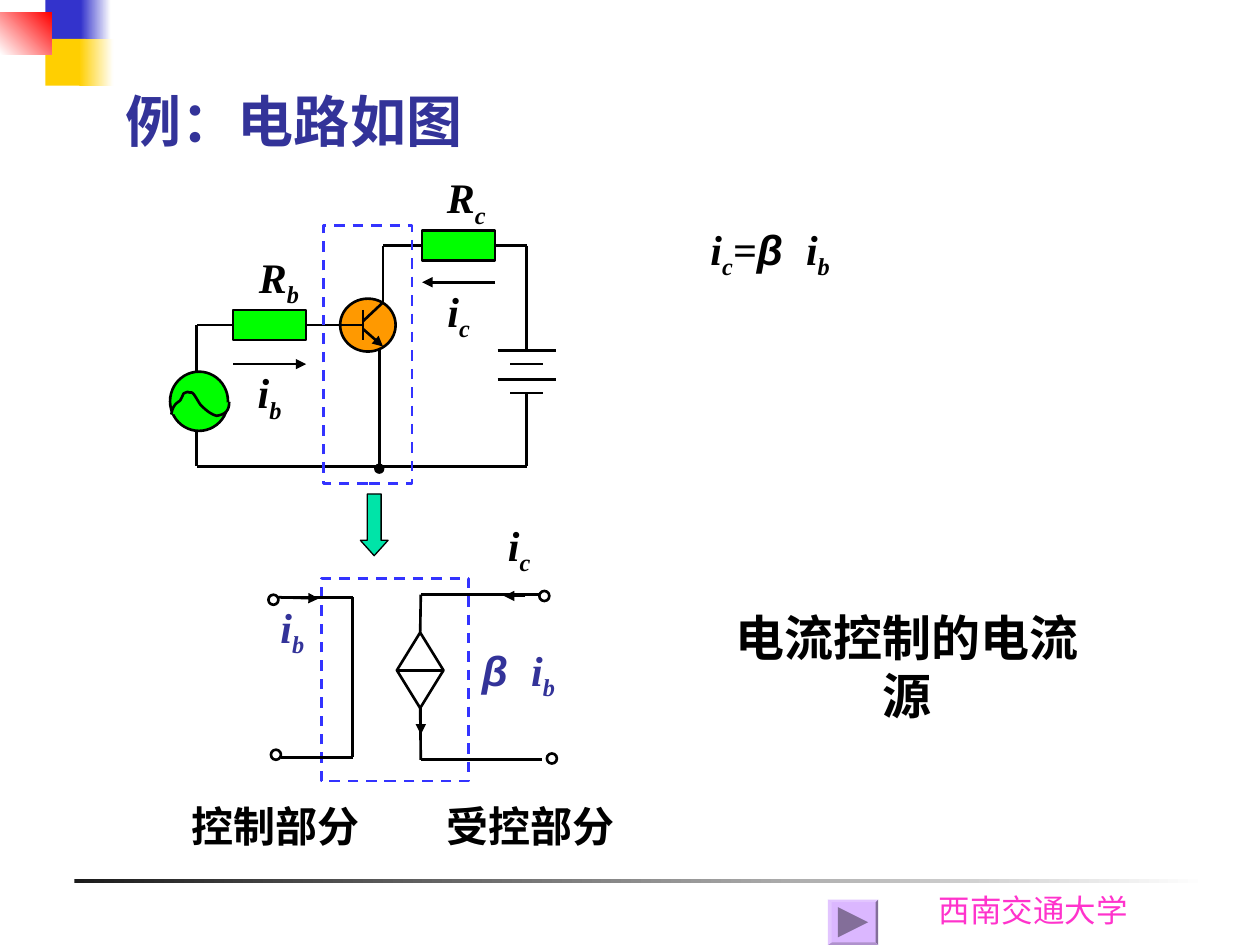
import itertools
from dataclasses import dataclass
from typing import Any

import pptx
import pptx.dml.color
import pptx.enum.dml
import pptx.enum.shapes
import pptx.enum.text
import pptx.oxml
import pptx.oxml.ns
import pptx.util

Inches = pptx.util.Inches
Pt = pptx.util.Pt
RGB = pptx.dml.color.RGBColor
SHAPE = pptx.enum.shapes.MSO_SHAPE
ALIGN = pptx.enum.text.PP_ALIGN

BLACK = RGB(0x00, 0x00, 0x00)
WHITE = RGB(0xFF, 0xFF, 0xFF)
CHARCOAL = RGB(0x1C, 0x1C, 0x1C)
INDIGO = RGB(0x33, 0x33, 0x99)
BLUE = RGB(0x33, 0x33, 0xCC)
DASH_BLUE = RGB(0x33, 0x33, 0xFF)
YELLOW = RGB(0xFF, 0xCF, 0x01)
RED = RGB(0xFF, 0x00, 0x00)
PINK = RGB(0xFF, 0x33, 0xCC)
GREEN = RGB(0x00, 0xFF, 0x00)
ORANGE = RGB(0xFF, 0x99, 0x00)
TEAL = RGB(0x00, 0xE4, 0xA8)
LILAC = RGB(0xDB, 0xB7, 0xFF)
LILAC_LIGHT = RGB(0xE2, 0xC5, 0xFF)
LILAC_MID = RGB(0xAF, 0x92, 0xCC)
LILAC_DARK = RGB(0x83, 0x6E, 0x99)
SERIF = "Times New Roman"


def style(shape, fill=None, line=None, width=1.5):
    """Set the fill and outline of a shape and drop its shadow."""
    shape.shadow.inherit = False
    if fill is None:
        shape.fill.background()
    else:
        shape.fill.solid()
        shape.fill.fore_color.rgb = fill
    if line is None:
        shape.line.fill.background()
    else:
        shape.line.color.rgb = line
        shape.line.width = Pt(width)


def write(frame, runs, size=24, color=BLACK, bold=True, italic=False, font=SERIF, align=ALIGN.CENTER):
    """Write one paragraph of (text, attributes) runs into a text frame."""
    frame.word_wrap = True
    frame.vertical_anchor = pptx.enum.text.MSO_ANCHOR.MIDDLE
    para = frame.paragraphs[0]
    para.alignment = align
    para.space_before = Pt(0)
    para.font.size = Pt(size)
    para.font.color.rgb = color
    para.font.bold = bold
    para.font.italic = italic
    para.font.name = font
    for text, attributes in runs:
        span = para.add_run()
        span.text = text
        for name, value in attributes.items():
            span._r.get_or_add_rPr().set(name, value)
    return para


@dataclass
class Region:
    """A box on the page whose parts are placed from its top left corner."""
    page: Any
    left: float
    top: float

    def point(self, x, y):
        """Turn an offset in the region into page lengths."""
        return Inches(self.left + x), Inches(self.top + y)

    def shape(self, kind, x, y, width, height, *look):
        """Add a preset shape."""
        shape = self.page.shapes.add_shape(kind, *self.point(x, y), Inches(width), Inches(height))
        style(shape, *look)
        return shape

    def fade(self, x, y, width, height, start, end, angle=0):
        """Add a rectangle that fades between two colours."""
        shape = self.shape(SHAPE.RECTANGLE, x, y, width, height)
        shape.fill.gradient()
        shape.fill.gradient_angle = angle
        for stop, color in zip(shape.fill.gradient_stops, (start, end)):
            stop.color.rgb = color

    def wire(self, *points, end=None, width=1.5):
        """Join the points with straight connectors and return the first."""
        connectors = []
        for start, stop in itertools.pairwise(points):
            connector = self.page.shapes.add_connector(
                pptx.enum.shapes.MSO_CONNECTOR.STRAIGHT, *self.point(*start), *self.point(*stop))
            connector.line.color.rgb = BLACK
            connector.line.width = Pt(width)
            pptx.oxml.ns.qn("a:ln")
            if end:
                tail = pptx.oxml.parse_xml(f'<a:tailEnd {pptx.oxml.ns.nsdecls("a")} type="{end}"/>')
                connector.line._get_or_add_ln().append(tail)
            effects = pptx.oxml.parse_xml(f'<a:effectLst {pptx.oxml.ns.nsdecls("a")}/>')
            connector._element.spPr.append(effects)
            connectors.append(connector)
        return connectors[0]

    def outline(self, points, *look, close=True):
        """Add a freeform through the points."""
        start, *rest = [self.point(*point) for point in points]
        builder = self.page.shapes.build_freeform(*start, scale=1.0)
        builder.add_line_segments(rest, close=close)
        style(builder.convert_to_shape(), *look)

    def text(self, x, y, width, height, runs, **look):
        """Add a text box and return its paragraph."""
        box = self.page.shapes.add_textbox(*self.point(x, y), Inches(width), Inches(height))
        return write(box.text_frame, runs, **look)

    def dashed(self, *box):
        """Add a dashed frame."""
        frame = self.shape(SHAPE.RECTANGLE, *box, None, DASH_BLUE)
        frame.line.dash_style = pptx.enum.dml.MSO_LINE.DASH


def symbol(letter, index):
    """Give the runs of a letter with a subscript."""
    return [(letter, {}), (index, {"baseline": "-25000"})]


def bezier(start, *curves, steps=8):
    """Sample a chain of cubic curves."""
    points = [start]
    for first, second, end in curves:
        origin = points[-1]
        for step in range(1, steps + 1):
            t = step / steps
            weights = ((1 - t) ** 3, 3 * t * (1 - t) ** 2, 3 * t * t * (1 - t), t ** 3)
            points.append(tuple(sum(w * c for w, c in zip(weights, axis))
                                for axis in zip(origin, first, second, end)))
    return points


def add_corner(region):
    """Add the coloured blocks in the page corner."""
    for y, color, x, width in ((0, BLUE, 0.64, 0.24), (0.31, YELLOW, 0.63, 0.27)):
        region.shape(SHAPE.RECTANGLE, 0.36, y, 0.32, 0.37, color)
        region.fade(x, y, width, 0.37, color, WHITE)
    region.fade(0, 0.1, 0.41, 0.33, WHITE, RED, 45)


def add_footer(region):
    """Add the rule, the school name and the forward button."""
    region.fade(0, 0, 9, 0.03, CHARCOAL, WHITE)
    region.text(6.76, 0.04, 1.81, 0.4, [("西南交通大学", {})],
                size=18, color=PINK, bold=False, font="Karla", align=ALIGN.LEFT)
    outer = [(5.98, 0.16), (6.38, 0.16), (6.38, 0.52), (5.98, 0.52)]
    inner = [(6.01, 0.18), (6.36, 0.18), (6.36, 0.5), (6.01, 0.5)]
    region.outline(outer, LILAC)
    for side, color in enumerate((LILAC_LIGHT, LILAC_DARK, LILAC_MID, LILAC_LIGHT)):
        after = (side + 1) % 4
        region.outline([outer[side], outer[after], inner[after], inner[side]], color)
    region.outline([(6.06, 0.22), (6.3, 0.34), (6.06, 0.46)], LILAC_DARK)


def add_amplifier(region):
    """Add the transistor circuit."""
    region.shape(SHAPE.OVAL, 1.35, 1.07, 0.44, 0.42, ORANGE, BLACK)
    region.wire((1.53, 1.16), (1.53, 1.4))
    region.wire((1.53, 1.31), (1.69, 1.45), end="triangle")
    region.wire((1.53, 1.28), (0.21, 1.28), (0.21, 2.4), (2.83, 2.4), (2.83, 1.82))
    region.wire((1.53, 1.25), (1.69, 1.1), (1.69, 0.65), (2.83, 0.65), (2.83, 1.48))
    region.wire((1.66, 1.47), (1.66, 2.42), end="oval")
    for x, y in ((0.5, 1.16), (2, 0.53)):
        region.shape(SHAPE.RECTANGLE, x, y, 0.58, 0.24, GREEN, BLACK)
    for y, half in ((1.48, 0.23), (1.59, 0.13), (1.71, 0.23), (1.82, 0.13)):
        region.wire((2.83 - half, y), (2.83 + half, y))
    region.shape(SHAPE.OVAL, 0, 1.65, 0.46, 0.47, GREEN, BLACK)
    wave = bezier((0.01, 1.99), ((0.02, 1.94), (0.03, 1.91), (0.08, 1.88)),
                  ((0.12, 1.81), (0.09, 1.83), (0.14, 1.81)), ((0.15, 1.82), (0.17, 1.81), (0.18, 1.82)),
                  ((0.21, 1.85), (0.23, 1.91), (0.26, 1.93)), ((0.29, 1.96), (0.33, 1.99), (0.37, 2)),
                  ((0.44, 1.99), (0.47, 1.96), (0.47, 1.89)))
    region.outline(wave, GREEN, BLACK, close=False)
    region.wire((0.5, 1.59), (1.08, 1.59), end="triangle")
    region.wire((2.58, 0.94), (2, 0.94), end="triangle")
    for x, y, width, letter, index in ((2, 0.01, 0.7, "R", "c"), (0.5, 0.64, 0.73, "R", "b"),
                                       (0.5, 1.56, 0.58, "i", "b"), (2, 0.91, 0.58, "i", "c")):
        region.text(x, y, width, 0.56, symbol(letter, index), italic=True)
    region.dashed(1.22, 0.49, 0.7, 2.05)


def add_equivalent(region):
    """Add the controlled source circuit with its captions."""
    for x, width, caption in ((0, 1.57, "控制部分"), (1.94, 1.74, "受控部分")):
        region.text(x, 2.3, width, 0.5, [(caption, {})])
    region.dashed(1.15, 0.59, 1.17, 1.61)
    region.wire((0.83, 0.74), (1.4, 0.74), (1.4, 2.01), (0.83, 2.01))
    diamond = region.shape(SHAPE.FLOWCHART_SORT, 1.75, 1.02, 0.37, 0.6, None, BLACK)
    region.wire((1.94, 1.02), (1.94, 0.72), (2.92, 0.72)).begin_connect(diamond, 0)
    region.wire((1.94, 1.62), (1.94, 2.03), (2.9, 2.03)).begin_connect(diamond, 2)
    region.wire((1.94, 1.6), (1.94, 1.83), end="triangle")
    region.wire((0.81, 0.74), (1.13, 0.75), end="triangle")
    region.wire((2.77, 0.73), (2.6, 0.73), end="triangle", width=0.75)
    for x, y in ((2.88, 0.69), (0.73, 0.72), (2.94, 1.98), (0.75, 1.95)):
        region.shape(SHAPE.OVAL, x, y, 0.08, 0.08, WHITE, BLACK)
    region.text(0.61, 0.72, 0.62, 0.56, symbol("i", "b"), color=INDIGO, italic=True)
    region.text(2.43, 0.07, 0.58, 0.56, symbol("i", "c"), italic=True)
    para = region.text(2.28, 0.86, 0.87, 0.96, [("β ", {"spc": "330"})] + symbol("i", "b"),
                       color=INDIGO, italic=True)
    para.runs[0].font.name = "Arial"


def add_notes(region):
    """Add the current relation and the name of the source."""
    para = region.text(0, 0, 1.76, 0.42, symbol("i", "c") + [("=", {}), ("β ", {"spc": "330"})] + symbol("i", "b"),
                       italic=True, align=ALIGN.LEFT)
    para.line_spacing = 0.7
    para.runs[3].font.name = "Arial"
    region.text(0.01, 3.2, 3.3, 0.57, [("电流控制的电流源", {})], size=28)


def main():
    """Build the slide and save it."""
    deck = pptx.Presentation()
    deck.slide_width, deck.slide_height = Inches(10), Inches(7.5)
    page = deck.slides.add_slide(deck.slide_layouts[5])
    title = page.shapes.title
    title.left, title.top, title.width, title.height = map(Inches, (0.81, 0.63, 3.05, 0.64))
    write(title.text_frame, [("例：电路如图", {})], size=32, color=INDIGO)
    add_footer(Region(page, 0.59, 6.98))
    add_corner(Region(page, 0, 0))
    add_notes(Region(page, 5.54, 1.8))
    add_amplifier(Region(page, 1.35, 1.3))
    add_equivalent(Region(page, 1.4, 4))
    arrow = Region(page, 2.86, 3.92).shape(SHAPE.DOWN_ARROW, 0, 0, 0.22, 0.49, TEAL, BLACK, 0.75)
    arrow.adjustments[1] = 0.554
    deck.save("out.pptx")


if __name__ == "__main__":
    main()
